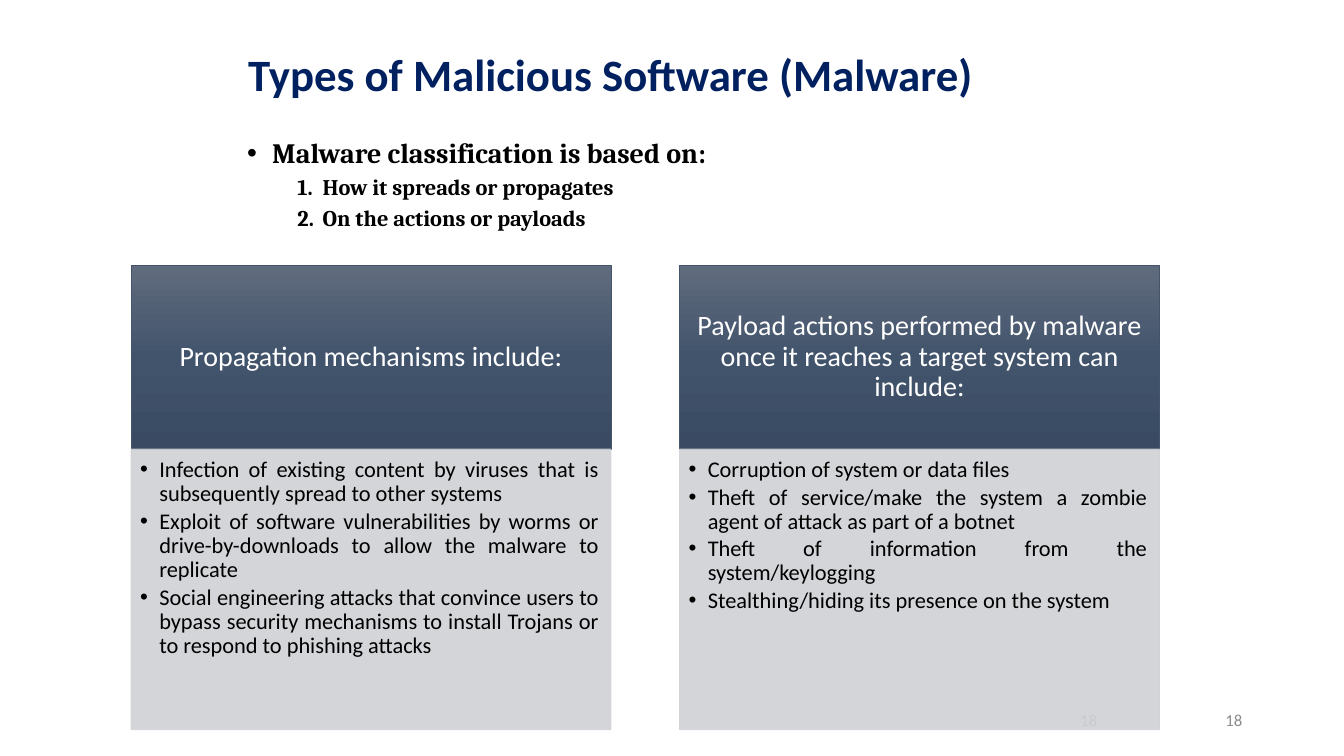
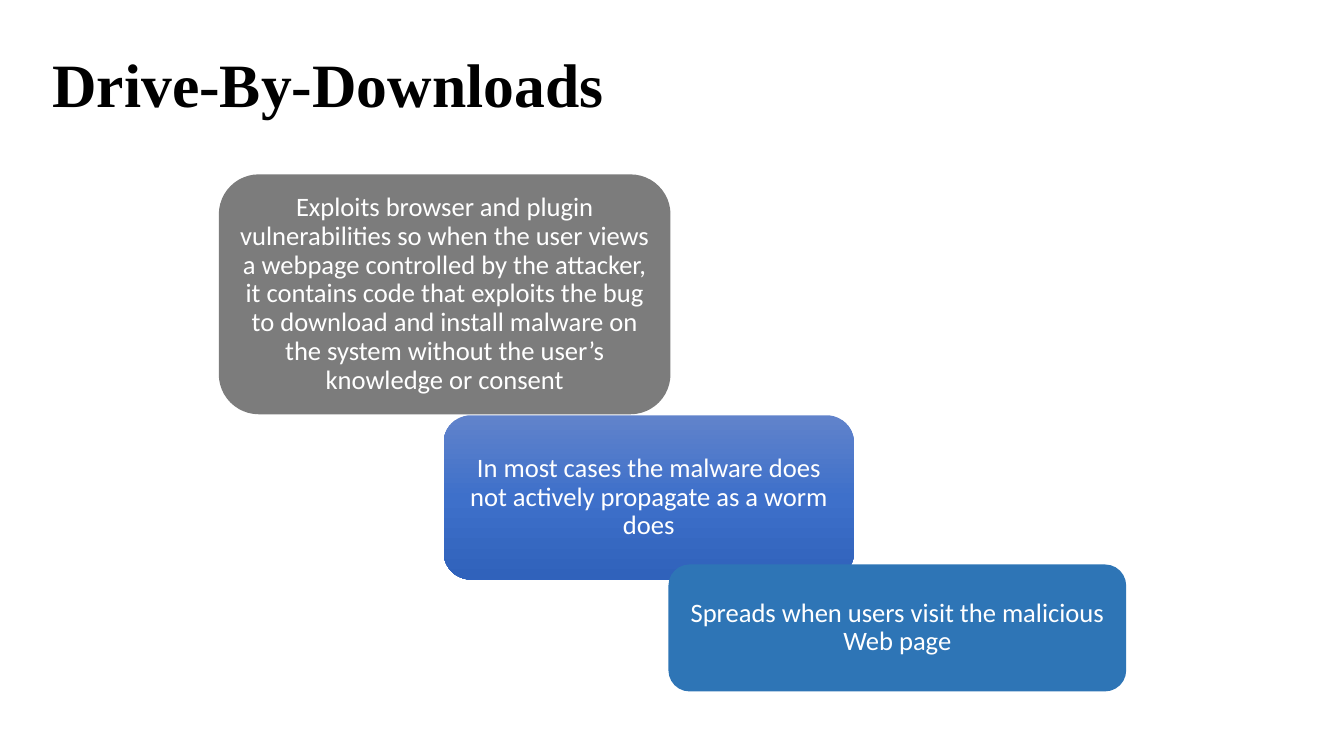
from dataclasses import dataclass

import pptx
import pptx.dml.color
import pptx.enum.shapes
import pptx.enum.text
import pptx.oxml
import pptx.oxml.ns
import pptx.util

SHAPE = pptx.enum.shapes.MSO_SHAPE
ALIGN = pptx.enum.text.PP_ALIGN
ANCHOR = pptx.enum.text.MSO_ANCHOR


class Theme:
    # Fonts
    sans, serif, classic = "Calibri", "Cambria", "Times New Roman"
    # Colours; a list is a gradient from top to bottom
    navy, black, white, muted = "002060", "000000", "FFFFFF", "8C8C8C"
    slate, pale, grey, blue = "44546A", "CFD1D4", "7C7C7C", "2E75B6"
    slate_fade = ["606B7D", "42546C", "394A62"]
    blue_fade = ["6183CB", "3E70CA", "3062BB"]
    # Type sizes
    title, big_title, lead, step, item, number = 32, 44, 20, 19, 16, 12
    # Line spacing, and opacity of the panels
    leading, opacity = 0.9, 90


@dataclass
class Box:
    x: float
    y: float
    w: float
    h: float

    def column(self, i, n, gap):
        w = (self.w - gap * (n - 1)) / n
        return Box(self.x + i * (w + gap), self.y, w, self.h)

    def split(self, share):
        top = self.h * share
        return (Box(self.x, self.y, self.w, top),
                Box(self.x, self.y + top, self.w, self.h - top))

    def emu(self):
        return [pptx.util.Inches(v) for v in (self.x, self.y, self.w, self.h)]


def element(tag, **attrs):
    """Make one drawing element with the given attributes."""
    el = pptx.oxml.parse_xml(f"<a:{tag} {pptx.oxml.ns.nsdecls('a')}/>")
    for name, value in attrs.items():
        el.set(name, str(value))
    return el


def place(sp, box):
    sp.left, sp.top, sp.width, sp.height = box.emu()


def set_frame(tf, anchor=ANCHOR.TOP, insets=(0.1, 0.05, 0.1, 0.05)):
    tf.word_wrap = True
    tf.auto_size = pptx.enum.text.MSO_AUTO_SIZE.NONE
    tf.vertical_anchor = anchor
    (tf.margin_left, tf.margin_top,
     tf.margin_right, tf.margin_bottom) = map(pptx.util.Inches, insets)


def write(tf, text, size, font=Theme.sans, color=Theme.black, bold=False,
          align=ALIGN.LEFT, level=0, before=0, after=0, bullet=None,
          indent=0, hang=0):
    """Fill the empty first paragraph, or add one, and format it."""
    p = tf.paragraphs[0] if not tf.text else tf.add_paragraph()
    p.alignment, p.level, p.line_spacing = align, level, Theme.leading
    p.space_before, p.space_after = pptx.util.Pt(before), pptx.util.Pt(after)
    if bullet:
        pPr = p._p.get_or_add_pPr()
        pPr.set("marL", str(pptx.util.Inches(indent)))
        pPr.set("indent", str(-pptx.util.Inches(hang)))
        if bullet == "1.":
            pPr.append(element("buFont", typeface="+mj-lt"))
            pPr.append(element("buAutoNum", type="arabicPeriod"))
        else:
            pPr.append(element("buFont", typeface="Arial"))
            pPr.append(element("buChar", char=bullet))
    r = p.add_run()
    r.text = text
    r.font.name, r.font.size, r.font.bold = font, pptx.util.Pt(size), bold
    r.font.color.rgb = pptx.dml.color.RGBColor.from_string(color)


def paint(fill, color, opacity=100):
    """Apply a solid colour, or a vertical gradient if given a list."""
    if isinstance(color, list):
        fill.gradient()
        fill.gradient_angle = 270
        stops = fill._fill._gradFill.find(pptx.oxml.ns.qn("a:gsLst"))
        stops.clear()
        for i, value in enumerate(color):
            stop = element("gs", pos=100000 * i // (len(color) - 1))
            stop.append(element("srgbClr", val=value))
            stops.append(stop)
        return
    fill.solid()
    fill.fore_color.rgb = pptx.dml.color.RGBColor.from_string(color)
    if opacity < 100:
        solid = fill._xPr.find(pptx.oxml.ns.qn("a:solidFill"))
        solid[0].append(element("alpha", val=opacity * 1000))


def add_block(slide, box, kind, color, line=None, opacity=100):
    sp = slide.shapes.add_shape(kind, *box.emu())
    sp.shadow.inherit = False
    paint(sp.fill, color, opacity)
    if line:
        sp.line.width = pptx.util.Pt(0.5)
        paint(sp.line.fill, line, opacity)
    else:
        sp.line.fill.background()
    return sp


def add_title(slide, box, text, **style):
    sp = slide.shapes.title
    place(sp, box)
    set_frame(sp.text_frame, ANCHOR.MIDDLE)
    write(sp.text_frame, text, bold=True, **style)


def add_outline(slide, box, lead, points):
    """Bulleted lead line with numbered points below it."""
    sp = slide.placeholders[1]
    place(sp, box)
    tf = sp.text_frame
    set_frame(tf)
    style = dict(font=Theme.serif, bold=True, hang=0.25)
    write(tf, lead, Theme.lead, bullet="•", indent=0.25, before=10, **style)
    for point in points:
        write(tf, point, Theme.item, level=1, bullet="1.", indent=0.75,
              before=5, **style)


def add_number(slide, box, text):
    sp = slide.shapes.add_textbox(*box.emu())
    set_frame(sp.text_frame, ANCHOR.MIDDLE)
    write(sp.text_frame, text, Theme.number, color=Theme.muted,
          align=ALIGN.RIGHT)


def add_panel(slide, box, heading, items):
    """Gradient heading above a translucent list."""
    head, body = box.split(0.396)
    sp = add_block(slide, head, SHAPE.RECTANGLE, Theme.slate_fade, Theme.slate)
    set_frame(sp.text_frame, ANCHOR.MIDDLE, (0.16, 0.09, 0.16, 0.09))
    write(sp.text_frame, heading, Theme.lead, color=Theme.white,
          align=ALIGN.CENTER)
    sp = add_block(slide, body, SHAPE.RECTANGLE, Theme.pale, Theme.pale,
                   Theme.opacity)
    set_frame(sp.text_frame, insets=(0.09, 0.09, 0.12, 0.14))
    for item in items:
        write(sp.text_frame, item, Theme.item, align=ALIGN.JUSTIFY, level=1,
              bullet="•", indent=0.19, hang=0.19, after=2.4)


def add_cascade(slide, box, shift, steps):
    """Rounded steps, each moved right and placed under the one before."""
    y = box.y
    for i, (w, h, gap, color, text) in enumerate(steps):
        y += gap
        step = Box(box.x + i * shift, y, w, h)
        sp = add_block(slide, step, SHAPE.ROUNDED_RECTANGLE, color)
        set_frame(sp.text_frame, ANCHOR.MIDDLE, (0.08, 0.04, 0.08, 0.04))
        write(sp.text_frame, text, Theme.step, color=Theme.white,
              align=ALIGN.CENTER)
        y += h


def malware_slide(prs):
    slide = prs.slides.add_slide(prs.slide_layouts[1])
    add_title(slide, Box(2.36, 0.36, 10.12, 0.81),
              "Types of Malicious Software (Malware)",
              size=Theme.title, color=Theme.navy)
    add_outline(slide, Box(2.35, 1.33, 8.67, 5.08),
                "Malware classification is based on:",
                ["How it spreads or propagates", "On the actions or payloads"])
    # The second number lies under the right panel
    for x, w in ((9.42, 3), (8.73, 2.25)):
        add_number(slide, Box(x, 6.95, w, 0.4), "18")
    panels = [
        ("Propagation mechanisms include:", [
            "Infection of existing content by viruses that is subsequently "
            "spread to other systems",
            "Exploit of software vulnerabilities by worms or "
            "drive-by-downloads to allow the malware to replicate",
            "Social engineering attacks that convince users to bypass "
            "security mechanisms to install Trojans or to respond to "
            "phishing attacks"]),
        ("Payload actions performed by malware once it reaches a target "
         "system can include:", [
             "Corruption of system or data files",
             "Theft of service/make the system a zombie agent of attack as "
             "part of a botnet",
             "Theft of information from the system/keylogging",
             "Stealthing/hiding its presence on the system"]),
    ]
    area = Box(1.3, 2.63, 10.2, 4.61)
    for i, (heading, items) in enumerate(panels):
        add_panel(slide, area.column(i, len(panels), 0.68), heading, items)


def downloads_slide(prs):
    slide = prs.slides.add_slide(prs.slide_layouts[5])
    add_title(slide, Box(0.42, 0.26, 11.2, 1.22), "Drive-By-Downloads",
              size=Theme.big_title, font=Theme.classic)
    # Width, height, gap above, colour, text
    add_cascade(slide, Box(2.17, 1.73, 8.99, 5.13), 2.23, [
        (4.48, 2.38, 0, Theme.grey,
         "Exploits browser and plugin vulnerabilities so when the user views "
         "a webpage controlled by the attacker, it contains code that "
         "exploits the bug to download and install malware on the system "
         "without the user’s knowledge or consent"),
        (4.07, 1.63, 0.01, Theme.blue_fade,
         "In most cases the malware does not actively propagate as a worm "
         "does"),
        (4.54, 1.26, -0.15, Theme.blue,
         "Spreads when users visit the malicious Web page"),
    ])


def main():
    prs = pptx.Presentation()
    prs.slide_width = pptx.util.Inches(13.33)
    prs.slide_height = pptx.util.Inches(7.5)
    malware_slide(prs)
    downloads_slide(prs)
    prs.save("out.pptx")


if __name__ == "__main__":
    main()
